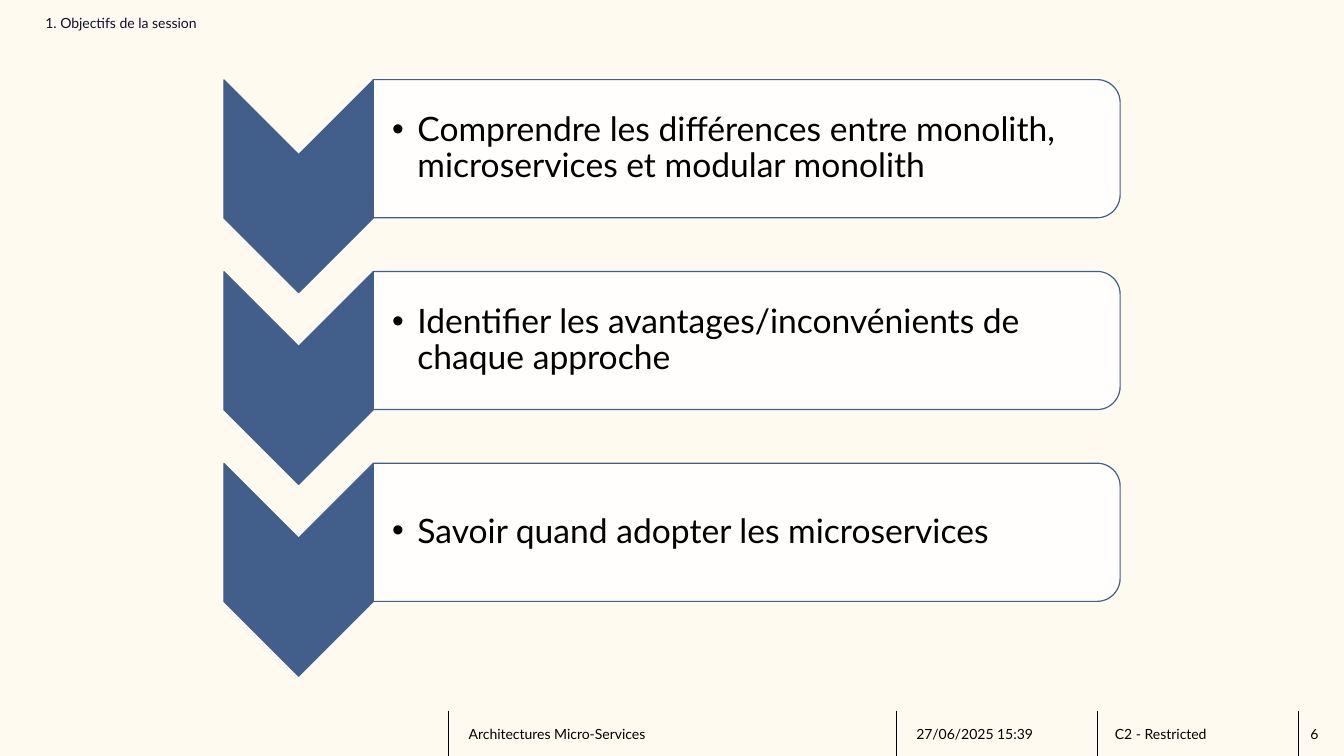
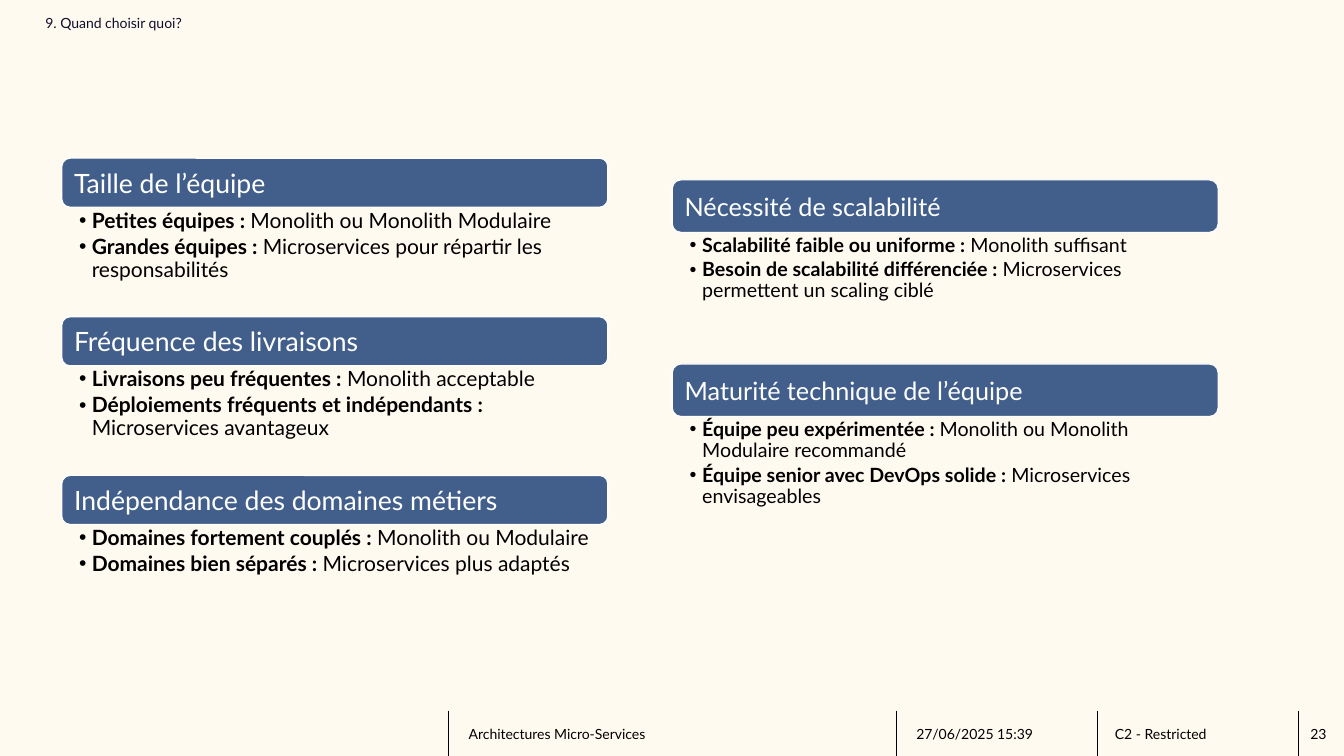
"""Build two slides on choosing between monolith and microservices."""
import lxml.etree
import pptx
import pptx.dml.color
import pptx.enum.shapes
import pptx.enum.text
import pptx.oxml.ns
import pptx.util

Pt = pptx.util.Pt
qn = pptx.oxml.ns.qn
RGB = pptx.dml.color.RGBColor.from_string
KIND = pptx.enum.shapes.MSO_SHAPE
ANCHOR = pptx.enum.text.MSO_ANCHOR
FONT = "Lato"
HUES = {
    "page": "FFFAF0",
    "blue": "425F8B",
    "white": "FFFFFF",
    "black": "000000",
    "title": "0F0E2B",
}


def write(shape, lines, size, hue="black", pads=(14.4, 0, 0, 0), indent=0, middle=True):
    frame = shape.text_frame
    frame.word_wrap = True
    frame.auto_size = pptx.enum.text.MSO_AUTO_SIZE.NONE
    frame.vertical_anchor = ANCHOR.MIDDLE if middle else ANCHOR.TOP
    frame.margin_left, frame.margin_top, frame.margin_right, frame.margin_bottom = map(Pt, pads)
    for row, parts in enumerate(lines):
        para = frame.add_paragraph() if row else frame.paragraphs[0]
        para.text = parts[0]
        for part in parts[1:]:
            para.add_run().text = part
        para.alignment = pptx.enum.text.PP_ALIGN.LEFT
        for spot, run in enumerate(para.runs):
            run.font.name = FONT
            run.font.size = Pt(size)
            run.font.color.rgb = RGB(HUES[hue])
            run.font.bold = len(parts) > 1 and spot == 0
        if indent:
            para.line_spacing = 0.9
            para.space_after = Pt(2.5)
            props = para._p.get_or_add_pPr()
            props.set("marL", str(Pt(indent)))
            props.set("indent", str(-Pt(indent)))
            lxml.etree.SubElement(props, qn("a:buFont")).set("typeface", "Arial")
            lxml.etree.SubElement(props, qn("a:buChar")).set("char", "•")


def draw(slide, kind, place, fill, edge, turn=0):
    shape = slide.shapes.add_shape(kind, *map(Pt, place))
    shape.rotation = turn
    shape.shadow.inherit = False
    shape.fill.solid()
    shape.fill.fore_color.rgb = RGB(HUES[fill])
    shape.line.color.rgb = RGB(HUES[edge])
    shape.line.width = Pt(0.85)
    return shape


deck = pptx.Presentation()
deck.slide_width, deck.slide_height = Pt(960), Pt(540)
back = deck.slide_master.background.fill
back.solid()
back.fore_color.rgb = RGB(HUES["page"])

layout = deck.slide_layouts.get_by_name("Title Only")
for holder in list(layout.placeholders):
    if holder.placeholder_format.type == pptx.enum.shapes.PP_PLACEHOLDER.TITLE:
        holder.left, holder.top, holder.width, holder.height = map(Pt, (32.4, 5, 895.7, 22.3))
    else:
        layout.shapes.element.remove(holder.element)

slides = []
for title, page in (("1. Objectifs de la session", "6"), ("9. Quand choisir quoi?", "23")):
    slide = deck.slides.add_slide(layout)
    write(slide.shapes.title, [[title]], 10, "title", (0, 0, 14.4, 0))
    slides.append((slide, page))
goals, choice = slides[0][0], slides[1][0]

footer = []
for left in (320.4, 640.1, 784.1, 927.4):
    rule = goals.shapes.add_connector(
        pptx.enum.shapes.MSO_CONNECTOR.STRAIGHT, Pt(left), Pt(507.6), Pt(left), Pt(540))
    rule.line.color.rgb = RGB(HUES["black"])
    rule.line.width = Pt(0.75)
    lxml.etree.SubElement(rule.element.spPr, qn("a:effectLst"))
    footer.append(rule)
for left, width, label in (
    (320.4, 319, "Architectures Micro-Services"),
    (640.1, 143, "27/06/2025 15:39"),
    (782, 143, "C2 - Restricted"),
):
    box = goals.shapes.add_textbox(Pt(left), Pt(508), Pt(width), Pt(32))
    write(box, [[label]], 10)
    footer.append(box)
for item in footer:
    layout.shapes.element.append(item.element)

for slide, page in slides:
    box = slide.shapes.add_textbox(Pt(927.4), Pt(508), Pt(32.4), Pt(32))
    write(box, [[page]], 10, pads=(8.6, 0, 0, 0))

aims = (
    "Comprendre les différences entre monolith, microservices et modular monolith",
    "Identifier les avantages/inconvénients de chaque approche",
    "Savoir quand adopter les microservices",
)
for row, aim in enumerate(aims):
    drop = row * 137
    draw(goals, KIND.CHEVRON, (137.3, 79.8 + drop, 152, 106.6), "blue", "blue", 90)
    panel = draw(goals, KIND.ROUND_2_SAME_RECTANGLE,
                 (484, -160.5 + drop, 98.7, 533.5), "white", "blue", 90)
    tint = panel.element.spPr.find(".//" + qn("a:srgbClr"))
    lxml.etree.SubElement(tint, qn("a:alpha")).set("val", "90000")
    box = goals.shapes.add_textbox(Pt(266.5), Pt(61.8 + drop), Pt(528.5), Pt(89))
    write(box, [[aim]], 24, pads=(13.7, 1.5, 1.5, 1.5), indent=18)

columns = (
    (44.2, 113, 35, 113.3, 19, 15, (
        ("Taille de l’équipe", (
            ("Petites équipes : ", "Monolith ou Monolith Modulaire"),
            ("Grandes équipes : ", "Microservices pour répartir les responsabilités"))),
        ("Fréquence des livraisons", (
            ("Livraisons peu fréquentes : ", "Monolith acceptable"),
            ("Déploiements fréquents et indépendants :", " Microservices avantageux"))),
        ("Indépendance des domaines métiers", (
            ("Domaines fortement couplés : ", "Monolith ou Modulaire"),
            ("Domaines bien séparés : ", "Microservices plus adaptés"))),
    )),
    (480.2, 128.5, 37.5, 131.5, 18, 14, (
        ("Nécessité de scalabilité", (
            ("Scalabilité faible ou uniforme : ", "Monolith suffisant"),
            ("Besoin de scalabilité différenciée : ", "Microservices permettent un scaling ciblé"))),
        ("Maturité technique de l’équipe", (
            ("Équipe peu expérimentée : ", "Monolith ou Monolith Modulaire recommandé"),
            ("Équipe senior avec DevOps solide : ", "Microservices envisageables"))),
    )),
)
for left, top, height, step, large, small, themes in columns:
    for row, (head, points) in enumerate(themes):
        y = top + row * step
        band = draw(choice, KIND.ROUNDED_RECTANGLE, (left, y, 390, height), "blue", "white")
        write(band, [[head]], large, "white", (7.2, 0, 7.2, 0))
        box = choice.shapes.add_textbox(Pt(left), Pt(y + height), Pt(390), Pt(step - height))
        write(box, points, small, pads=(12.4, 2, 10.8, 2), indent=9, middle=False)

deck.save("out.pptx")
